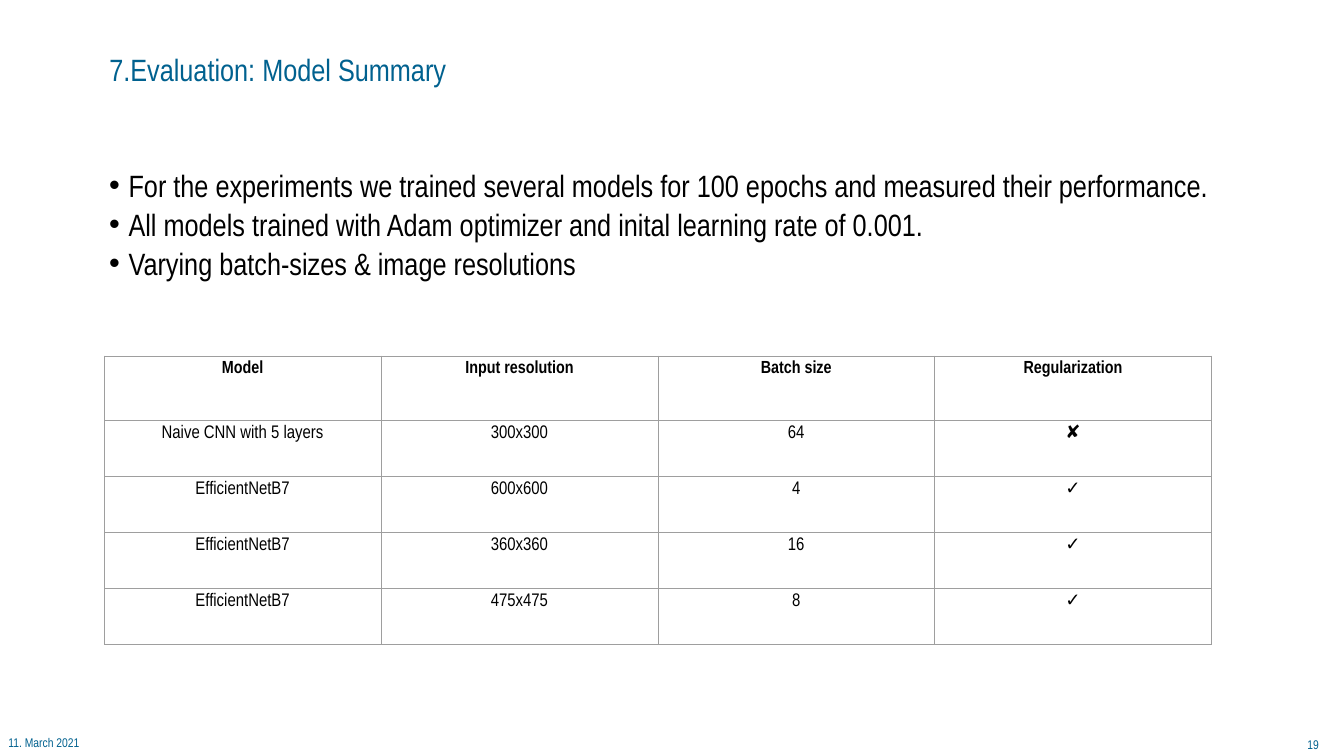
"""Build the model summary slide with its bullet points and table."""
from lxml import etree
from pptx import Presentation
from pptx.dml.color import RGBColor
from pptx.enum.text import MSO_ANCHOR, PP_ALIGN
from pptx.oxml.ns import qn
from pptx.util import Pt

LEFT, CENTER, RIGHT = PP_ALIGN.LEFT, PP_ALIGN.CENTER, PP_ALIGN.RIGHT
TOP, BOTTOM = MSO_ANCHOR.TOP, MSO_ANCHOR.BOTTOM
BLUE = RGBColor(0x00, 0x61, 0x8F)
BLACK = RGBColor(0x00, 0x00, 0x00)
WHITE = RGBColor(0xFF, 0xFF, 0xFF)
GRAY = RGBColor(0x9E, 0x9E, 0x9E)
FONT, BULLET_FONT = "Arial Narrow", "Arial"

TITLE = "7.Evaluation: Model Summary"
POINTS = [
    "For the experiments we trained several models for 100 epochs and measured their performance.",
    "All models trained with Adam optimizer and inital learning rate of 0.001.",
    "Varying batch-sizes & image resolutions",
]
MODELS = [
    ("Model", "Input resolution", "Batch size", "Regularization"),
    ("Naive CNN with 5 layers", "300x300", "64", "✘"),
    ("EfficientNetB7", "600x600", "4", "✓"),
    ("EfficientNetB7", "360x360", "16", "✓"),
    ("EfficientNetB7", "475x475", "8", "✓"),
]
DATE, PAGE = "11. March 2021", "19"

MARGIN = 149
COLUMN_WIDTH = 395.4
HEADER_HEIGHT, ROW_HEIGHT = 92.2, 79.9
BULLET_INDENT = 27.6
INSETS = (7.2, 3.6)


def style(paragraph, size, color, align=LEFT, bold=False):
    paragraph.alignment = align
    font = paragraph.font
    font.name, font.size, font.bold = FONT, Pt(size), bold
    font.color.rgb = color


def add_text(slide, box, lines, size, color, align=LEFT, anchor=TOP, insets=INSETS):
    frame = slide.shapes.add_textbox(*map(Pt, box)).text_frame
    frame.word_wrap = True
    frame.vertical_anchor = anchor
    frame.margin_left = frame.margin_right = Pt(insets[0])
    frame.margin_top = frame.margin_bottom = Pt(insets[1])
    frame.text = "\n".join(lines)
    for paragraph in frame.paragraphs:
        style(paragraph, size, color, align)
    return frame


def add_bullets(frame):
    for index, paragraph in enumerate(frame.paragraphs):
        if index:
            paragraph.space_before = Pt(3)
        properties = paragraph._p.get_or_add_pPr()
        properties.set("marL", str(Pt(BULLET_INDENT)))
        properties.set("indent", str(-Pt(BULLET_INDENT)))
        run_defaults = properties.find(qn("a:defRPr"))
        for tag, key, value in (("a:buFont", "typeface", BULLET_FONT), ("a:buChar", "char", "•")):
            bullet = etree.Element(qn(tag))
            bullet.set(key, value)
            run_defaults.addprevious(bullet)


def add_borders(cell):
    properties = cell._tc.get_or_add_tcPr()
    for index, side in enumerate(("a:lnL", "a:lnR", "a:lnT", "a:lnB")):
        line = etree.Element(qn(side), w=str(Pt(0.75)))
        fill = etree.SubElement(line, qn("a:solidFill"))
        etree.SubElement(fill, qn("a:srgbClr"), val=str(GRAY))
        properties.insert(index, line)


def add_model_table(slide):
    rows, columns = len(MODELS), len(MODELS[0])
    height = HEADER_HEIGHT + ROW_HEIGHT * (rows - 1)
    table = slide.shapes.add_table(
        rows, columns, Pt(MARGIN), Pt(508.3), Pt(COLUMN_WIDTH * columns), Pt(height)
    ).table
    for column in table.columns:
        column.width = Pt(COLUMN_WIDTH)
    for r, values in enumerate(MODELS):
        header = r == 0
        table.rows[r].height = Pt(HEADER_HEIGHT if header else ROW_HEIGHT)
        for c, value in enumerate(values):
            cell = table.cell(r, c)
            cell.text = value
            cell.margin_left = cell.margin_right = Pt(7.2)
            cell.margin_top = cell.margin_bottom = Pt(7.2)
            cell.fill.solid()
            cell.fill.fore_color.rgb = WHITE
            add_borders(cell)
            paragraph = cell.text_frame.paragraphs[0]
            style(paragraph, 25 if header else 26, BLACK, CENTER)
            font = paragraph.runs[0].font
            font.bold = header or value == "✓"
            font.color.rgb = BLACK


def main():
    presentation = Presentation()
    presentation.slide_width, presentation.slide_height = Pt(1920), Pt(1080)
    slide = presentation.slides.add_slide(presentation.slide_layouts[6])
    add_text(slide, (MARGIN, 16, 1486, 113), [TITLE], 44, BLUE, anchor=BOTTOM)
    add_bullets(add_text(slide, (MARGIN, 234, 1603, 775), POINTS, 44, BLACK))
    add_model_table(slide)
    add_text(slide, (12, 1050.5, 132, 21.6), [DATE], 18, BLUE, insets=(0, 0))
    add_text(slide, (1746, 1049, 145, 17.3), [PAGE], 18, BLUE, RIGHT)
    presentation.save("out.pptx")


if __name__ == "__main__":
    main()
